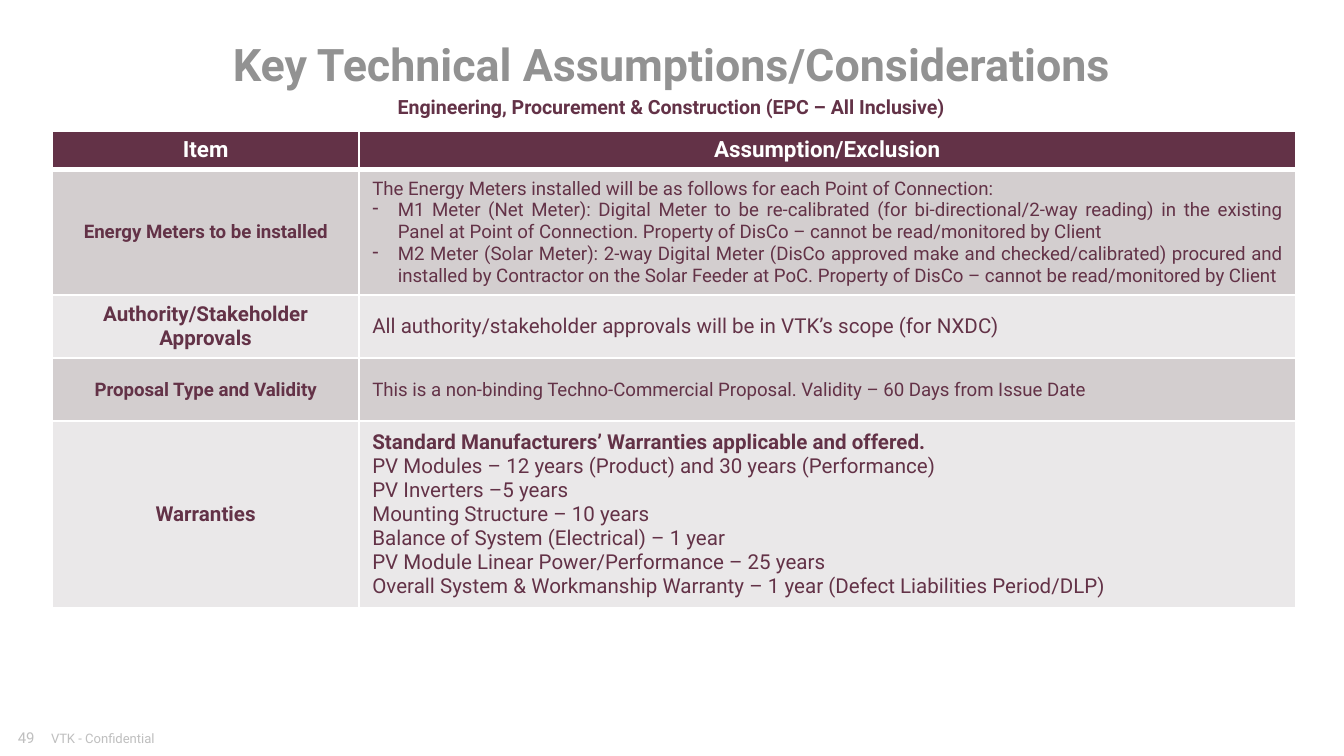
from pptx import Presentation
from pptx.dml.color import RGBColor
from pptx.enum.text import MSO_ANCHOR, PP_ALIGN
from pptx.oxml.ns import qn
from pptx.util import Inches, Pt
from lxml.etree import SubElement

COLORS = {"plum": "633247", "title": "929292", "footer": "BFBFBF", "white": "FFFFFF",
          "dark_band": "D3CECF", "light_band": "EAE8E9"}
FONT = "Roboto"
LEFT, CENTER, JUSTIFY = PP_ALIGN.LEFT, PP_ALIGN.CENTER, PP_ALIGN.JUSTIFY

COL_WIDTHS = [2.28, 6.97]
HEADER_HEIGHT, ROW_HEIGHT = 0.25, 0.47  # minimums: rows grow with their text
HEADERS = ["Item", "Assumption/Exclusion"]
# Each row: text size, item, alignment, lines; a line is (text, style)
ROWS = [
    (10, "Energy Meters to be installed", JUSTIFY, [
        ("The Energy Meters installed will be as follows for each Point of Connection:", ""),
        ("M1 Meter (Net Meter): Digital Meter to be re-calibrated (for bi-directional/2-way "
         "reading) in the existing Panel at Point of Connection. Property of DisCo – cannot be "
         "read/monitored by Client", "dash"),
        ("M2 Meter (Solar Meter): 2-way Digital Meter (DisCo approved make and "
         "checked/calibrated) procured and installed by Contractor on the Solar Feeder at PoC. "
         "Property of DisCo – cannot be read/monitored by Client", "dash")]),
    (11, "Authority/Stakeholder Approvals", LEFT, [
        ("All authority/stakeholder approvals will be in VTK’s scope (for NXDC)", "")]),
    (10, "Proposal Type and Validity", JUSTIFY, [
        ("This is a non-binding Techno-Commercial Proposal. Validity – 60 Days from Issue Date",
         "")]),
    (11, "Warranties", JUSTIFY, [
        ("Standard Manufacturers’ Warranties applicable and offered.", "bold"),
        ("PV Modules – 12 years (Product) and 30 years (Performance)", ""),
        ("PV Inverters –5 years", ""),
        ("Mounting Structure – 10 years", ""),
        ("Balance of System (Electrical) – 1 year", ""),
        ("PV Module Linear Power/Performance – 25 years", ""),
        ("Overall System & Workmanship Warranty – 1 year (Defect Liabilities Period/DLP)", "")]),
]


def rgb(name):
    return RGBColor.from_string(COLORS[name])


def write(p, text, size, color, bold=False, align=LEFT):
    p.alignment = align
    r = p.add_run()
    r.text = text
    r.font.name = FONT
    r.font.size = Pt(size)
    r.font.bold = bold
    r.font.color.rgb = rgb(color)


def add_label(s, box, text, size, color, bold=False, align=LEFT, wrap=True):
    tf = s.shapes.add_textbox(*map(Inches, box)).text_frame
    tf.margin_left = tf.margin_right = tf.margin_top = tf.margin_bottom = 0
    tf.vertical_anchor = MSO_ANCHOR.MIDDLE
    tf.word_wrap = wrap
    write(tf.paragraphs[0], text, size, color, bold, align)


def add_dash(p):
    pPr = p._p.get_or_add_pPr()
    pPr.set("marL", str(Inches(0.19)))
    pPr.set("indent", str(-Inches(0.19)))
    SubElement(pPr, qn("a:buChar"), char="-")


def style_cell(cell, fill, borders):
    """Draw white borders, given as widths in points by side, and fill the cell."""
    tcPr = cell._tc.get_or_add_tcPr()
    for side, width in borders.items():
        ln = SubElement(tcPr, qn(f"a:ln{side}"), w=str(Pt(width)))
        line_fill = SubElement(ln, qn("a:solidFill"))
        SubElement(line_fill, qn("a:srgbClr"), val=COLORS["white"])
    cell.fill.solid()
    cell.fill.fore_color.rgb = rgb(fill)


def add_header_row(table):
    for cell, text in zip(table.rows[0].cells, HEADERS):
        cell.margin_left = cell.margin_right = Inches(0.07)
        cell.margin_top = cell.margin_bottom = Inches(0.04)
        style_cell(cell, "plum", {"L": 1, "R": 1, "T": 1, "B": 3})
        write(cell.text_frame.paragraphs[0], text, 12, "white", True, CENTER)


def add_assumption_row(table, i, size, item, align, lines):
    item_cell, detail_cell = table.rows[i].cells
    for cell in (item_cell, detail_cell):
        style_cell(cell, "dark_band" if i % 2 else "light_band",
                   {"L": 1, "R": 1, "T": 3 if i == 1 else 1, "B": 1})
        cell.vertical_anchor = MSO_ANCHOR.MIDDLE
    write(item_cell.text_frame.paragraphs[0], item, size, "plum", True, CENTER)
    tf = detail_cell.text_frame
    for n, (text, style) in enumerate(lines):
        p = tf.add_paragraph() if n else tf.paragraphs[0]
        if style == "dash":
            add_dash(p)
        write(p, text, size, "plum", style == "bold", align)


def add_assumptions_table(s, left, top, height):
    heights = [HEADER_HEIGHT] + [ROW_HEIGHT] * len(ROWS)
    box = (left, top, sum(COL_WIDTHS), height)
    frame = s.shapes.add_table(len(heights), len(COL_WIDTHS), *map(Inches, box))
    table = frame.table
    for col, width in zip(table.columns, COL_WIDTHS):
        col.width = Inches(width)
    for row, row_height in zip(table.rows, heights):
        row.height = Inches(row_height)
    frame.height = Inches(height)
    add_header_row(table)
    for i, content in enumerate(ROWS, 1):
        add_assumption_row(table, i, *content)


def add_heading(s, left, top, width):
    add_label(s, (left, top, width, 0.39), "Key Technical Assumptions/Considerations",
              24, "title", True, CENTER, wrap=False)
    add_label(s, (left, top + 0.4, width, 0.22),
              "Engineering, Procurement & Construction (EPC – All Inclusive)",
              10.5, "plum", True, CENTER)


def add_footer(s, left, top):
    add_label(s, (left, top, 0.39, 0.3), "49", 8, "footer", align=CENTER)
    add_label(s, (left + 0.38, top + 0.09, 1.54, 0.12), "VTK - Confidential", 7, "footer")


def main():
    prs = Presentation()
    prs.slide_width = Inches(10)
    prs.slide_height = prs.slide_width * 9 // 16
    s = prs.slides.add_slide(prs.slide_layouts[6])
    add_footer(s, 0, 5.34)
    add_assumptions_table(s, 0.39, 0.98, 3.52)
    add_heading(s, 0.27, 0.28, 9.45)
    prs.save("out.pptx")


if __name__ == "__main__":
    main()
